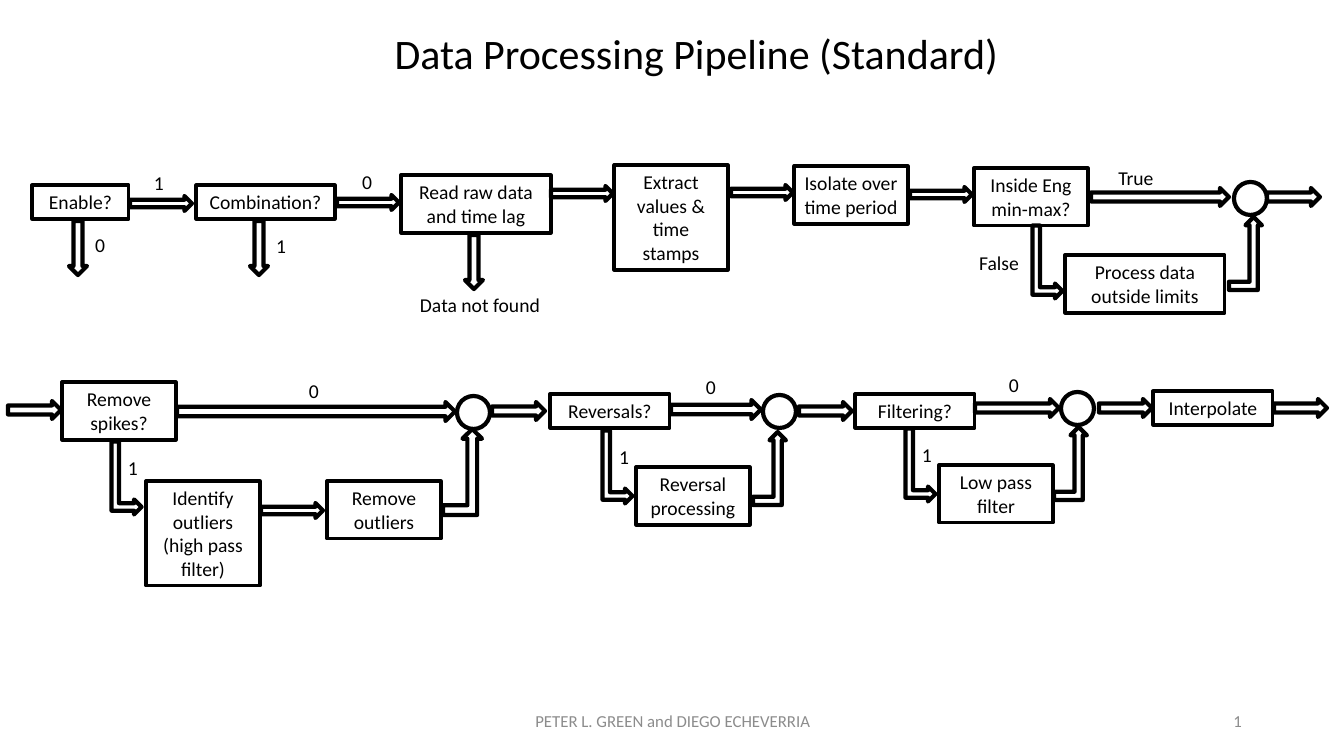
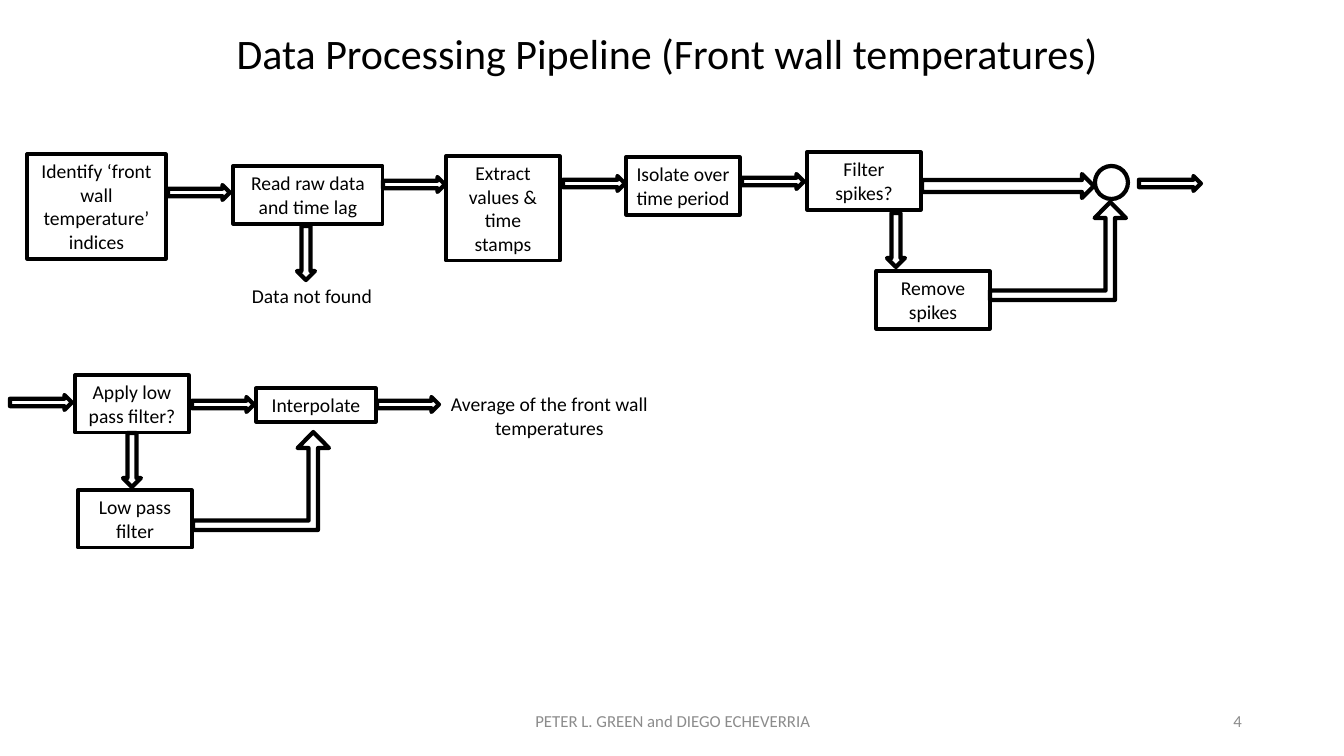
from pptx import Presentation
from pptx.dml.color import RGBColor
from pptx.enum.shapes import MSO_SHAPE
from pptx.enum.text import MSO_ANCHOR, MSO_AUTO_SIZE, PP_ALIGN
from pptx.util import Pt

RECTANGLE, CIRCLE = MSO_SHAPE.RECTANGLE, MSO_SHAPE.OVAL
RIGHT_ARROW, DOWN_ARROW = MSO_SHAPE.RIGHT_ARROW, MSO_SHAPE.DOWN_ARROW
BENT_ARROW = MSO_SHAPE.BENT_UP_ARROW
TOP, MIDDLE = MSO_ANCHOR.TOP, MSO_ANCHOR.MIDDLE
CENTER, RIGHT = PP_ALIGN.CENTER, PP_ALIGN.RIGHT
NO_AUTOFIT, GROW = MSO_AUTO_SIZE.NONE, MSO_AUTO_SIZE.SHAPE_TO_FIT_TEXT

EMU_PER_PIXEL = 914400 / 100.8
SLIDE_WIDTH, SLIDE_HEIGHT = 1344, 756
TITLE_ONLY = 5
FONT = "Calibri"
COLORS = {"ink": "000000", "footer": "8C8C8C"}
FOOTER = "PETER L. GREEN and DIEGO ECHEVERRIA"
TEXT_HEIGHTS = {1: 34, 2: 58, 4: 105}  # by number of lines
BOX_WIDTH, WIDE_BOX, LABEL_WIDTH = 114, 120, 62
WIDE_BEND = (0.096, 0.16, 0.164)


def emu(*pixels):
    return [round(value * EMU_PER_PIXEL) for value in pixels]


def color(name):
    return RGBColor.from_string(COLORS[name])


def write(shape, text, size=14, ink="ink", align=CENTER, anchor=TOP, fit=GROW):
    frame = shape.text_frame
    frame.text = text
    frame.word_wrap = True
    frame.auto_size = fit
    frame.vertical_anchor = anchor
    paragraph = frame.paragraphs[0]
    paragraph.alignment = align
    paragraph.font.name = FONT
    paragraph.font.size = Pt(size)
    paragraph.font.color.rgb = color(ink)


# Elements of the flow charts
def add_outline(slide, kind, left, top, width, height, weight=3):
    shape = slide.shapes.add_shape(kind, *emu(left, top, width, height))
    shape.shadow.inherit = False
    shape.fill.background()
    shape.line.color.rgb = color("ink")
    shape.line.width = Pt(weight)
    return shape


def add_box(slide, text, left, top, width=BOX_WIDTH, lines=2):
    write(add_outline(slide, RECTANGLE, left, top, width, TEXT_HEIGHTS[lines], 2.25), text)


def add_label(slide, text, left, top, width=LABEL_WIDTH, lines=1):
    write(slide.shapes.add_textbox(*emu(left, top, width, TEXT_HEIGHTS[lines])), text)


def add_right_arrow(slide, left, top, width=62, height=15):
    add_outline(slide, RIGHT_ARROW, left, top, width, height)


def add_exit_arrow(slide, left, top):
    add_right_arrow(slide, left, top, 53, 18)


def add_down_arrow(slide, left, top):
    add_outline(slide, DOWN_ARROW, left, top, 18, 54)


def add_branch_arrow(slide, left, top):
    add_outline(slide, BENT_ARROW, left, top, 73, 30).rotation = 90


def add_return_arrow(slide, left, top, width=33, height=73, bend=()):
    arrow = add_outline(slide, BENT_ARROW, left, top, width, height)
    for index, value in enumerate(bend):
        arrow.adjustments[index] = value


def add_junction(slide, left, top):
    add_outline(slide, CIRCLE, left, top, 33, 33)


def add_all(add, slide, rows):
    for row in rows:
        add(slide, *row)


def add_reading_stage(slide, left, top):
    """Read, extract and isolate: the steps both pipelines share."""
    add_box(slide, "Read raw data and time lag", left, top, 150)
    add_down_arrow(slide, left + 64, top + 60)
    add_label(slide, "Data not found", left - 24, top + 113, 206)
    add_right_arrow(slide, left + 150, top + 11)
    add_box(slide, "Extract values & time stamps", left + 213, top - 10, lines=4)
    add_right_arrow(slide, left + 330, top + 10)
    add_box(slide, "Isolate over time period", left + 393, top - 9)


# Title and footers
def add_slide(presentation, title, left, width, number):
    slide = presentation.slides.add_slide(presentation.slide_layouts[TITLE_ONLY])
    heading = slide.shapes.title
    heading.left, heading.top, heading.width, heading.height = emu(left, 22, width, 62)
    write(heading, title, 30, fit=NO_AUTOFIT)
    for text, footer_left, footer_width, align in (
        (FOOTER, 446, 454, CENTER),
        (number, 950, 302, RIGHT),
    ):
        footer = slide.shapes.add_textbox(*emu(footer_left, 701, footer_width, 40))
        write(footer, text, 12, "footer", align, MIDDLE, NO_AUTOFIT)
    return slide


def build_standard(presentation):
    slide = add_slide(presentation, "Data Processing Pipeline (Standard)", 281, 831, "1")
    add_reading_stage(slide, 401, 175)
    add_all(add_box, slide, [
        ("Enable?", 32, 185, 97, 1),
        ("Combination?", 196, 185, 139, 1),
        ("Inside Eng min-max?", 974, 168),
        ("Process data outside limits", 1065, 255, 160),
        ("Remove spikes?", 62, 382),
        ("Identify outliers (high pass filter)", 146, 481, BOX_WIDTH, 4),
        ("Remove outliers", 327, 481),
        ("Reversals?", 550, 394, WIDE_BOX, 1),
        ("Reversal processing", 636, 467),
        ("Filtering?", 855, 394, WIDE_BOX, 1),
        ("Low pass filter", 939, 465),
        ("Interpolate", 1153, 391, WIDE_BOX, 1),
    ])
    add_all(add_label, slide, [
        ("1", 128, 166), ("0", 69, 228), ("0", 336, 165), ("1", 250, 229),
        ("True", 1070, 161, 132), ("False", 933, 246, 132),
        ("0", 283, 374), ("1", 102, 451),
        ("0", 680, 370), ("1", 593, 440),
        ("0", 983, 368), ("1", 896, 438),
    ])
    add_all(add_right_arrow, slide, [
        (130, 196), (337, 195), (910, 187), (1091, 188, 138, 18),
        (177, 402, 278, 19), (261, 503), (671, 400, 90, 19), (975, 399, 84, 18),
    ])
    add_all(add_exit_arrow, slide, [
        (1267, 188), (8, 401), (492, 402), (799, 402), (1099, 399), (1274, 399),
    ])
    add_all(add_down_arrow, slide, [(69, 221), (250, 221)])
    add_all(add_branch_arrow, slide, [(1011, 247), (90, 463), (581, 452), (884, 450)])
    add_all(add_return_arrow, slide, [
        (1229, 217), (443, 429, 39, 86), (753, 432), (1054, 427),
    ])
    add_all(add_junction, slide, [(1234, 182), (457, 396), (763, 395), (1061, 392)])


def build_front_wall(presentation):
    slide = add_slide(
        presentation, "Data Processing Pipeline (Front wall temperatures)", 223, 889, "4")
    add_reading_stage(slide, 233, 166)
    add_all(add_box, slide, [
        ("Identify ‘front wall temperature’ indices", 27, 154, 139, 4),
        ("Filter spikes?", 807, 152),
        ("Remove spikes", 876, 271),
        ("Apply low pass filter?", 75, 375),
        ("Low pass filter", 78, 490),
        ("Interpolate", 256, 388, WIDE_BOX, 1),
    ])
    add_label(slide, "Average of the front wall temperatures", 420, 387, 259, 2)
    add_all(add_right_arrow, slide, [
        (168, 185), (742, 174), (922, 174, 172, 24), (1139, 176),
        (10, 395), (192, 397), (377, 397),
    ])
    add_all(add_down_arrow, slide, [(887, 213), (123, 433)])
    add_all(add_return_arrow, slide, [
        (990, 202, 136, 98, WIDE_BEND), (193, 432, 136, 98, WIDE_BEND),
    ])
    add_junction(slide, 1095, 166)


def main():
    presentation = Presentation()
    presentation.slide_width, presentation.slide_height = emu(SLIDE_WIDTH, SLIDE_HEIGHT)
    build_standard(presentation)
    build_front_wall(presentation)
    presentation.save("out.pptx")


main()
